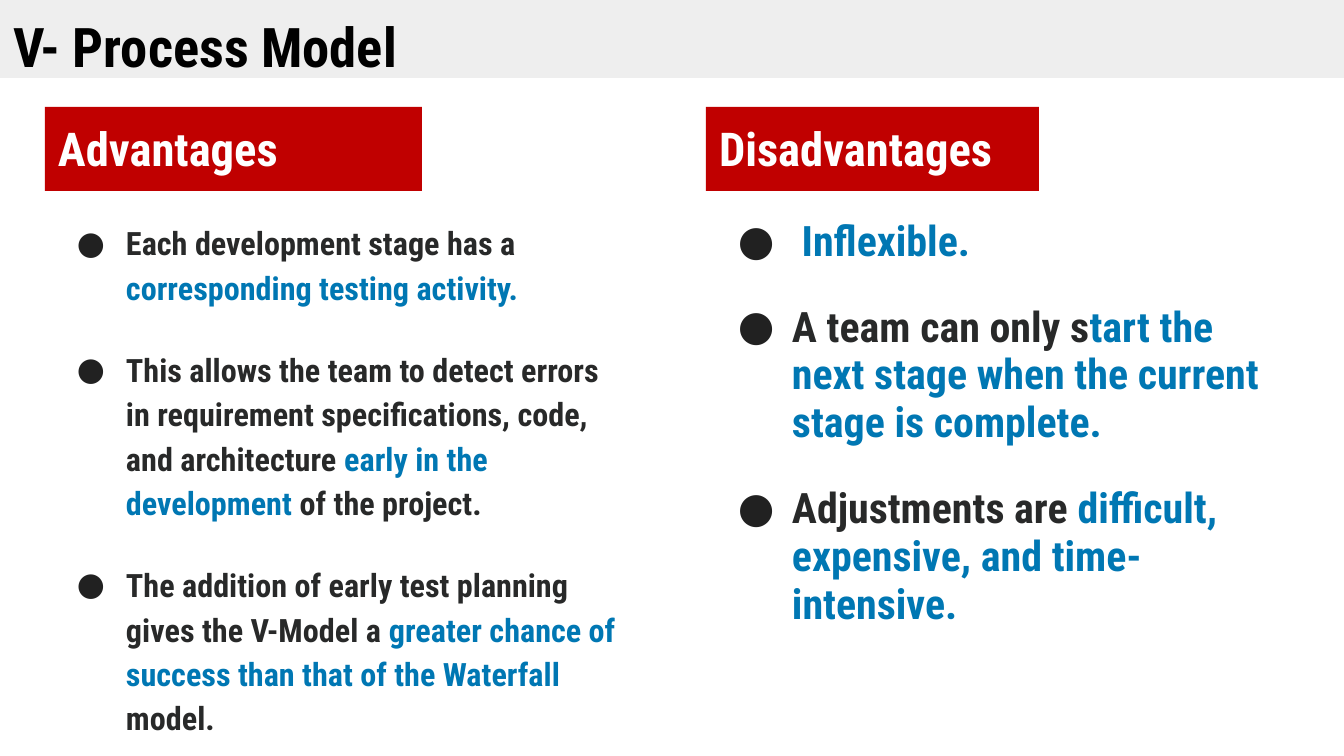
"""Builds the V-process model slide with its advantages and disadvantages."""
from lxml import etree
from pptx import Presentation
from pptx.dml.color import RGBColor
from pptx.enum.shapes import MSO_SHAPE as SHAPE
from pptx.enum.text import MSO_ANCHOR as ANCHOR, MSO_AUTO_SIZE as AUTO, PP_ALIGN as ALIGN
from pptx.oxml.ns import qn
from pptx.util import Pt

TITLE = "V- Process Model"
FONT = "Roboto Condensed"
COLORS = {
    "band": "EEEEEE", "title": "000000", "label": "C00000", "label_text": "FFFFFF",
    "text": "282929", "accent": "0077B3", "bullet": "212121",
}
COLUMNS = [
    {
        "heading": "Advantages", "label": (45, 107, 377, 84), "body": (45, 205, 588, 550),
        "size": 23, "spacing": 1.15, "hang": 49,
        "points": [
            [("Each development stage has a ", "text"),
             ("corresponding testing activity.", "accent")],
            [("This allows the team to detect errors in requirement specifications, code, "
              "and architecture ", "text"),
             ("early in the development ", "accent"), ("of the project.", "text")],
            [("The addition of early test planning gives the V-Model a ", "text"),
             ("greater chance of success than that of the Waterfall ", "accent"),
             ("model.", "text")],
        ],
    },
    {
        "heading": "Disadvantages", "label": (706, 107, 333, 84), "body": (711, 205, 588, 550),
        "size": 30, "spacing": 0.95, "hang": 54,
        "points": [
            [(" ", "text"), ("Inflexible.", "accent")],
            [("A team can only s", "text"),
             ("tart the next stage when the current stage is complete.", "accent")],
            [("Adjustments are ", "text"),
             ("difficult, expensive, and time-intensive.", "accent")],
        ],
    },
]
WIDTH, HEIGHT, BAND_HEIGHT = 1344, 756, 78
INSET, INDENT, GAP_PT = 13, 68, 27


def px(n):
    return round(n * 914400 / 100.8)


def rgb(name):
    return RGBColor.from_string(COLORS[name])


def style(r, size, color):
    r.font.name, r.font.size, r.font.bold = FONT, Pt(size), True
    r.font.color.rgb = rgb(color)


def frame(sp):
    tf = sp.text_frame
    tf.word_wrap, tf.auto_size, tf.vertical_anchor = True, AUTO.NONE, ANCHOR.TOP
    tf.margin_left = tf.margin_right = tf.margin_top = tf.margin_bottom = px(INSET)
    return tf


def heading(sp, text, size, fill, color):
    sp.fill.solid()
    sp.fill.fore_color.rgb = rgb(fill)
    sp.line.fill.background()
    tf = frame(sp)
    tf.text = text
    p = tf.paragraphs[0]
    p.alignment = ALIGN.LEFT
    style(p.runs[0], size, color)


def add_bullet(p, hang):
    pPr = p._p.get_or_add_pPr()
    pPr.set("marL", str(px(INDENT)))
    pPr.set("indent", str(-px(hang)))
    clr = etree.SubElement(pPr, qn("a:buClr"))
    etree.SubElement(clr, qn("a:srgbClr"), val=COLORS["bullet"])
    etree.SubElement(pPr, qn("a:buFont"), typeface=FONT)
    etree.SubElement(pPr, qn("a:buChar"), char="●")


def add_column(s, col):
    sp = s.shapes.add_shape(SHAPE.RECTANGLE, *map(px, col["label"]))
    sp.shadow.inherit = False
    heading(sp, col["heading"], 33.3, "label", "label_text")
    tf = frame(s.shapes.add_textbox(*map(px, col["body"])))
    for i, point in enumerate(col["points"]):
        p = tf.add_paragraph() if i else tf.paragraphs[0]
        p.line_spacing = col["spacing"]
        p.space_before = Pt(GAP_PT if i else 0)
        add_bullet(p, col["hang"])
        for text, color in point:
            r = p.add_run()
            r.text = text
            style(r, col["size"], color)


def main():
    prs = Presentation()
    prs.slide_width, prs.slide_height = px(WIDTH), px(HEIGHT)
    s = prs.slides.add_slide(prs.slide_layouts[5])
    title = s.shapes.title
    title.left, title.top, title.width, title.height = 0, 0, px(WIDTH), px(BAND_HEIGHT)
    heading(title, TITLE, 39, "band", "title")
    for col in COLUMNS:
        add_column(s, col)
    prs.save("out.pptx")


if __name__ == "__main__":
    main()
